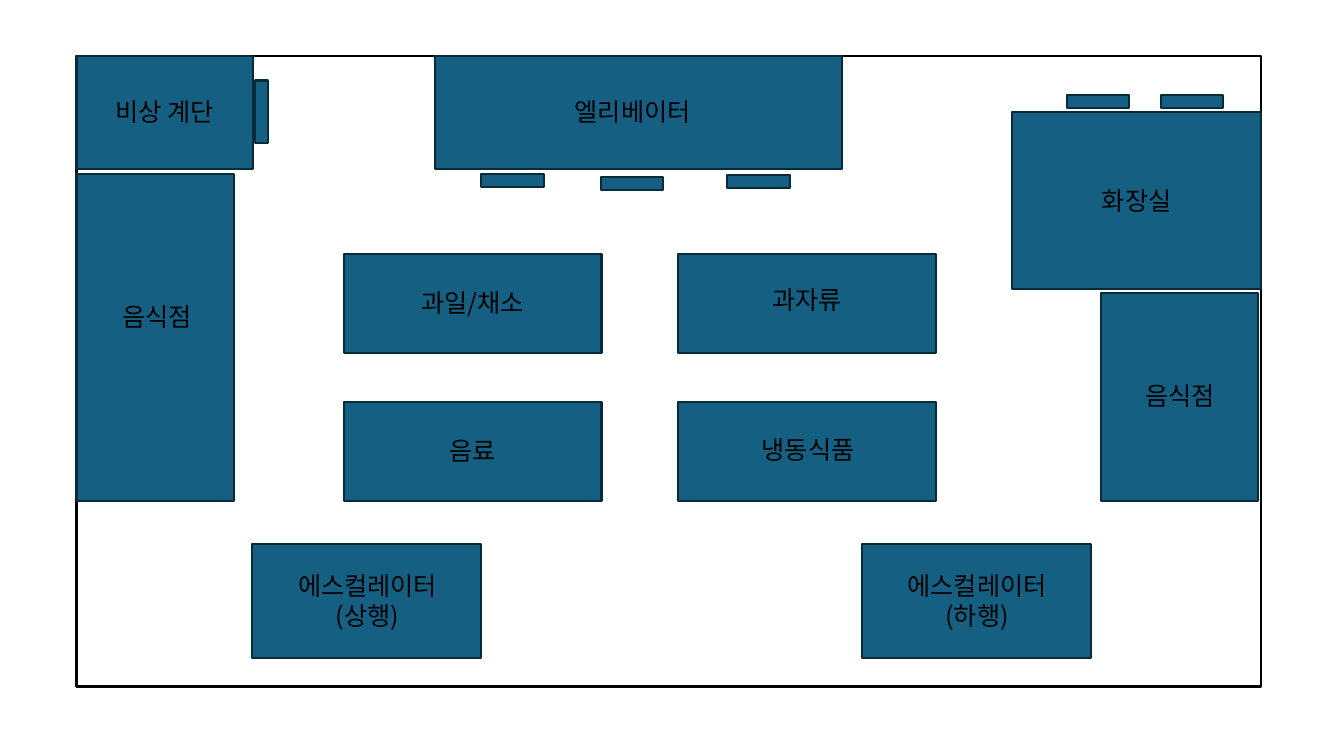
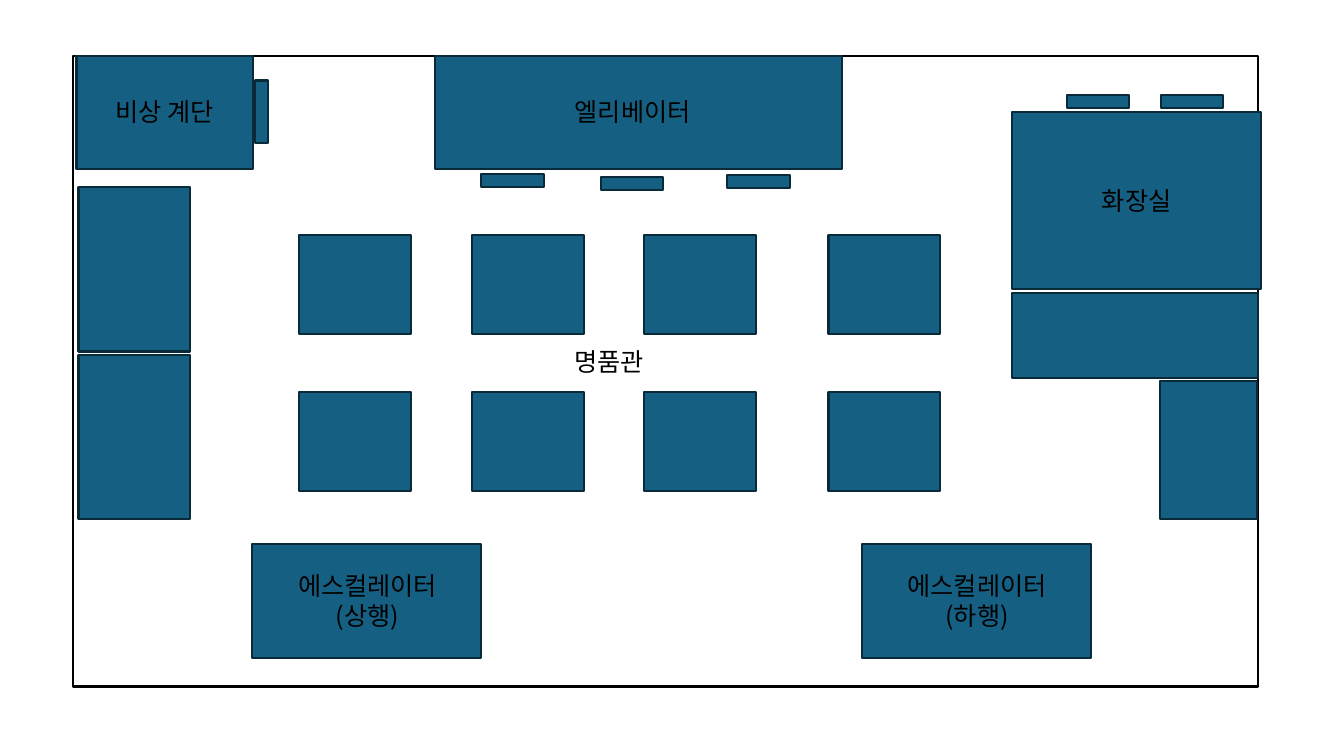
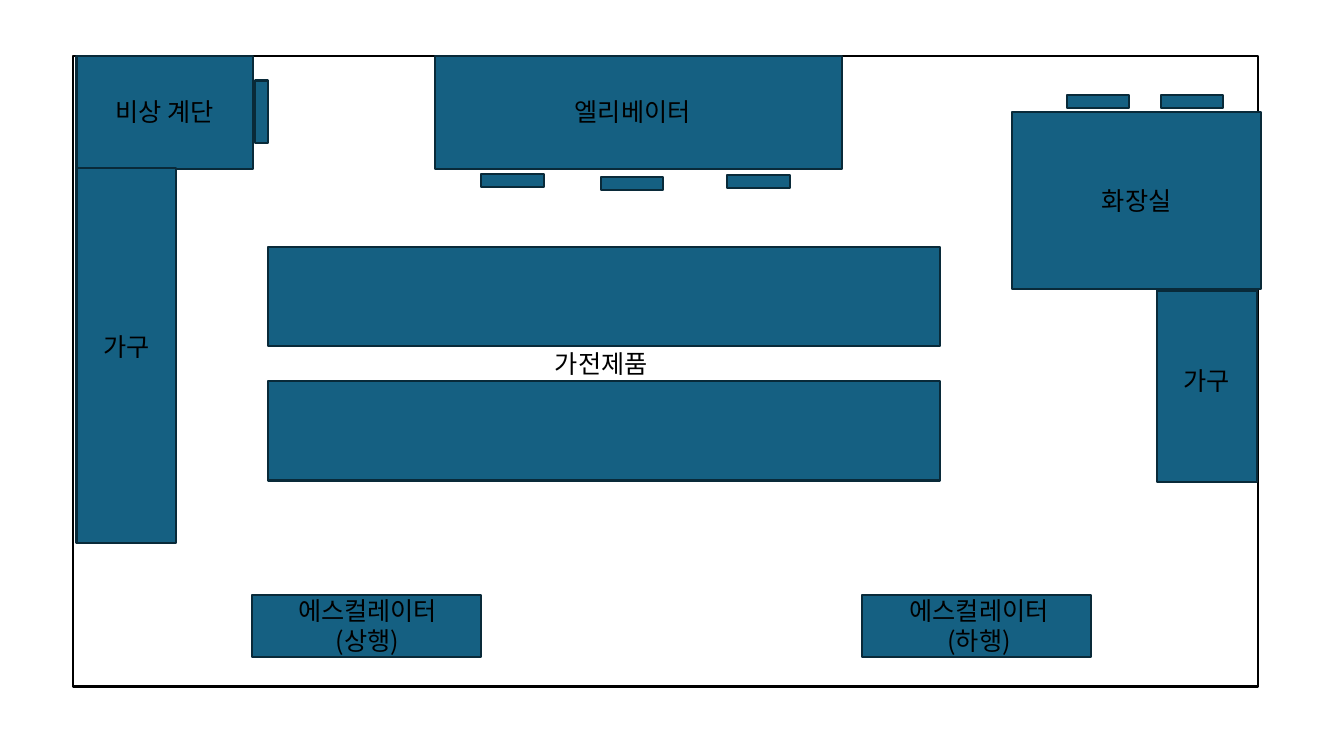
import dataclasses
import itertools

import lxml.etree
import pptx
import pptx.dml.color
import pptx.enum.shapes
import pptx.enum.text
import pptx.oxml.ns
import pptx.util

Cm = pptx.util.Cm


@dataclasses.dataclass(frozen=True)
class Theme:
    floor: str = "FFFFFF"
    wall: str = "000000"
    room: str = "156082"
    room_edge: str = "092A39"
    text: str = "000000"
    font: str = "Noto Sans CJK KR"
    text_size: float = 18
    line_width: float = 1.5
    label_width: float = 4.45
    label_height: float = 1.02


theme = Theme()


def add_room(slide, left, top, width, height, fill=theme.room, edge=theme.room_edge):
    room = slide.shapes.add_shape(
        pptx.enum.shapes.MSO_SHAPE.RECTANGLE, Cm(left), Cm(top), Cm(width), Cm(height))
    room.shadow.inherit = False
    room.fill.solid()
    room.fill.fore_color.rgb = pptx.dml.color.RGBColor.from_string(fill)
    room.line.color.rgb = pptx.dml.color.RGBColor.from_string(edge)
    room.line.width = pptx.util.Pt(theme.line_width)


def add_label(slide, text, left, top, height=theme.label_height):
    label = slide.shapes.add_textbox(Cm(left), Cm(top), Cm(theme.label_width), Cm(height))
    frame = label.text_frame
    frame.word_wrap = True
    frame.auto_size = pptx.enum.text.MSO_AUTO_SIZE.SHAPE_TO_FIT_TEXT
    paragraph = frame.paragraphs[0]
    paragraph.alignment = pptx.enum.text.PP_ALIGN.CENTER
    run = paragraph.add_run()
    run.text = text
    run.font.size = pptx.util.Pt(theme.text_size)
    run.font.color.rgb = pptx.dml.color.RGBColor.from_string(theme.text)
    run.font.name = theme.font
    # Hangul takes the East Asian font
    east_asian = lxml.etree.SubElement(run.font._element, pptx.oxml.ns.qn("a:ea"))
    east_asian.set("typeface", theme.font)


# Parts found on every floor: left, top, width, height in cm
core_rooms = [
    (1.93, 1.42, 4.45, 2.84),    # emergency stairs
    (10.97, 1.42, 10.26, 2.84),  # elevators
    (25.5, 2.82, 6.27, 4.47),    # restroom
]
core_labels = [("비상 계단", 1.93, 2.31), ("엘리베이터", 13.72, 2.31), ("화장실", 26.42, 4.55)]
door_length, door_depth = 1.57, 0.33
doors = [(6.43, 2.03, door_depth, door_length)] + [
    (left, top, door_length, door_depth)
    for left, top in [(12.13, 4.38), (15.15, 4.46), (18.33, 4.41), (29.25, 2.4), (26.89, 2.4)]
]
escalator_lefts = (21.72, 6.35)
escalator_width = 5.77
escalator_label_height = 1.8

# What differs from floor to floor
grocery_floor = {
    "wall_left": 1.93,
    "escalator": (13.72, 2.87),
    "escalator_labels": (14.25, 7.04, 22.4),
    "rooms": [(1.93, 4.39, 3.96, 8.23), (27.74, 7.39, 3.96, 5.23)]
    + [(left, top, 6.5, 2.49) for top, left in itertools.product((6.4, 10.13), (8.66, 17.09))],
    "labels": [
        ("음식점", 1.73, 7.47), ("과일/채소", 9.68, 7.11), ("과자류", 18.11, 7.04),
        ("음료", 9.68, 10.85), ("냉동식품", 18.14, 10.82), ("음식점", 27.51, 9.47),
    ],
}
luxury_floor = {
    "wall_left": 1.85,
    "escalator": (13.72, 2.87),
    "escalator_labels": (14.25, 7.04, 22.4),
    "rooms": [
        (left, top, 2.82, 2.49)
        for top, left in itertools.product((5.93, 9.88), (7.54, 11.89, 16.23, 20.88))
    ]
    + [(1.98, top, 2.82, 4.14) for top in (4.72, 8.94)]
    + [(25.5, 7.39, 6.2, 2.13), (29.24, 9.6, 2.44, 3.48)],
    "labels": [("명품관", 13.13, 8.59)],
}
home_floor = {
    "wall_left": 1.85,
    "escalator": (14.99, 1.57),
    "escalator_labels": (14.88, 7.04, 22.45),
    "rooms": [(1.93, 4.24, 2.51, 9.45), (29.16, 7.32, 2.51, 4.83)]
    + [(6.76, top, 16.94, 2.51) for top in (6.22, 9.6)],
    "labels": [("가전제품", 12.93, 8.66), ("가구", 0.97, 8.23), ("가구", 28.19, 9.07)],
}

presentation = pptx.Presentation()
presentation.slide_width = Cm(33.87)
presentation.slide_height = Cm(19.05)

for floor in (grocery_floor, luxury_floor, home_floor):
    slide = presentation.slides.add_slide(presentation.slide_layouts[6])

    # Outer wall
    add_room(slide, floor["wall_left"], 1.42, 29.85, 15.88, theme.floor, theme.wall)

    # Core rooms and escalators
    escalator_top, escalator_height = floor["escalator"]
    escalators = [
        (left, escalator_top, escalator_width, escalator_height) for left in escalator_lefts]
    for room in core_rooms + escalators:
        add_room(slide, *room)
    for label in core_labels:
        add_label(slide, *label)
    label_top, up_left, down_left = floor["escalator_labels"]
    for text, left in (("에스컬레이터(상행)", up_left), ("에스컬레이터(하행)", down_left)):
        add_label(slide, text, left, label_top, escalator_label_height)

    # Doors, then the shops of this floor
    for room in doors + floor["rooms"]:
        add_room(slide, *room)
    for label in floor["labels"]:
        add_label(slide, *label)

presentation.save("out.pptx")
